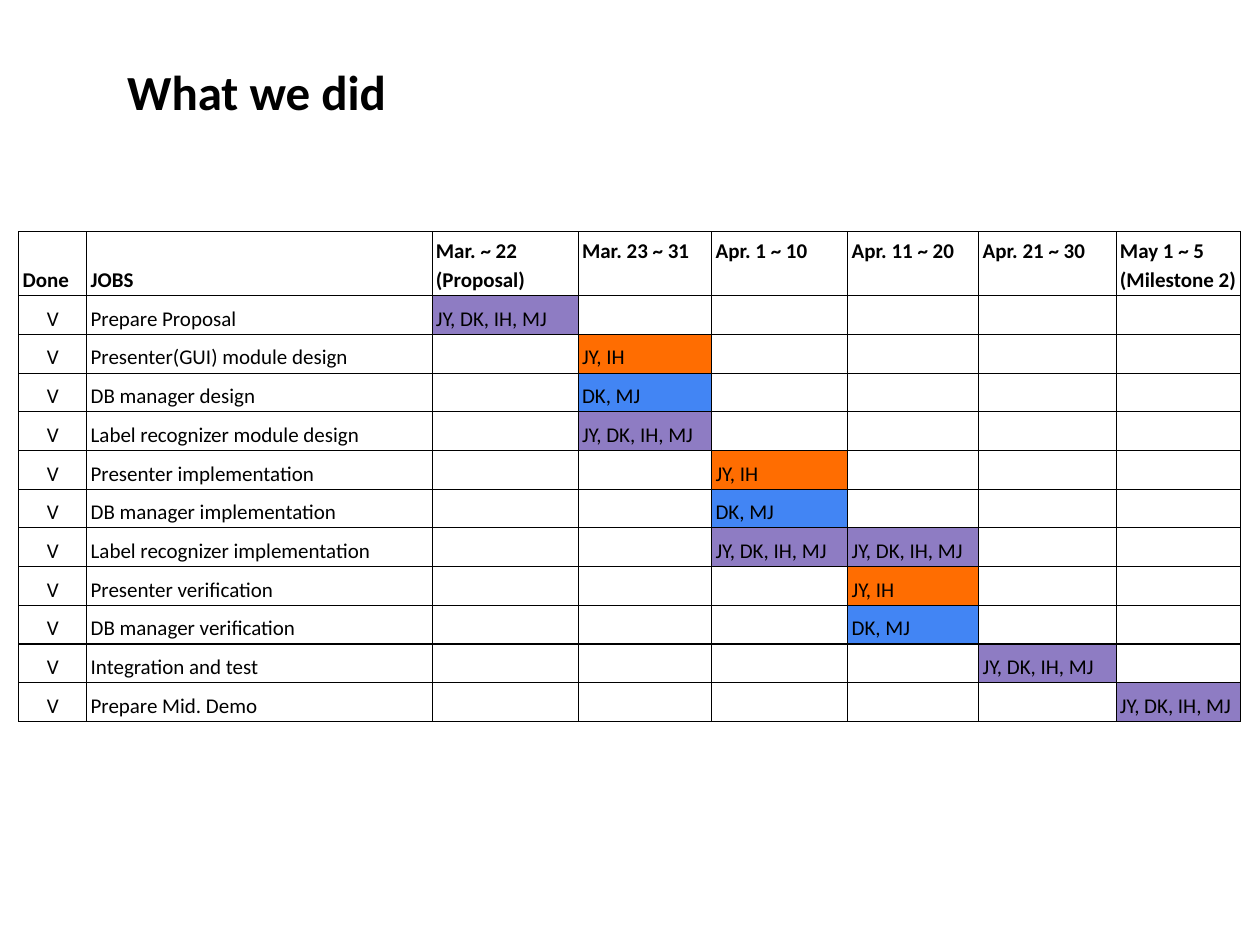
from lxml.etree import SubElement
from pptx import Presentation
from pptx.dml.color import RGBColor
from pptx.enum.text import MSO_ANCHOR, PP_ALIGN
from pptx.oxml.ns import qn
from pptx.util import Inches, Pt

BLACK = RGBColor(0x00, 0x00, 0x00)
WHITE = RGBColor(0xFF, 0xFF, 0xFF)
PURPLE = RGBColor(0x8E, 0x7C, 0xC3)
ORANGE = RGBColor(0xFF, 0x6D, 0x01)
BLUE = RGBColor(0x42, 0x85, 0xF4)

EVERYONE = "JY, DK, IH, MJ"
PRESENTER_TEAM = "JY, IH"
DATABASE_TEAM = "DK, MJ"
TEAM_COLORS = {EVERYONE: PURPLE, PRESENTER_TEAM: ORANGE, DATABASE_TEAM: BLUE}

HEADERS = [
    "Done", "JOBS", "Mar. ~ 22\n(Proposal)", "Mar. 23 ~ 31", "Apr. 1 ~ 10",
    "Apr. 11 ~ 20", "Apr. 21 ~ 30", "May 1 ~ 5\n(Milestone 2)",
]
JOBS = [
    ("Prepare Proposal", EVERYONE, [0]),
    ("Presenter(GUI) module design", PRESENTER_TEAM, [1]),
    ("DB manager design", DATABASE_TEAM, [1]),
    ("Label recognizer module design", EVERYONE, [1]),
    ("Presenter implementation", PRESENTER_TEAM, [2]),
    ("DB manager implementation", DATABASE_TEAM, [2]),
    ("Label recognizer implementation", EVERYONE, [2, 3]),
    ("Presenter verification", PRESENTER_TEAM, [3]),
    ("DB manager verification", DATABASE_TEAM, [3]),
    ("Integration and test", EVERYONE, [4]),
    ("Prepare Mid. Demo", EVERYONE, [5]),
]
COLUMN_WIDTHS = [0.54, 2.74, 1.16, 1.06, 1.08, 1.04, 1.09, 0.99]
TABLE_HEIGHT = 3.88
HEADER_HEIGHT = 0.5
PERIOD_COUNT = len(HEADERS) - 2


class SlideBuilder:
    font_name = "Calibri"
    text_color = BLACK
    border_width = Pt(0.75)

    def __init__(self, slide):
        self.slide = slide

    def format_font(self, paragraph, size, bold):
        font = paragraph.font
        font.name = self.font_name
        font.size = Pt(size)
        font.bold = bold
        font.color.rgb = self.text_color

    def title(self, text, left, top, width, height):
        shape = self.slide.shapes.title
        shape.left, shape.top = Inches(left), Inches(top)
        shape.width, shape.height = Inches(width), Inches(height)
        shape.text_frame.text = text
        shape.text_frame.vertical_anchor = MSO_ANCHOR.MIDDLE
        paragraph = shape.text_frame.paragraphs[0]
        paragraph.alignment = PP_ALIGN.LEFT
        self.format_font(paragraph, 28, True)

    def borders(self, cell):
        properties = cell._tc.get_or_add_tcPr()
        for side in ("a:lnL", "a:lnR", "a:lnT", "a:lnB"):
            line = SubElement(properties, qn(side), w=str(self.border_width))
            fill = SubElement(line, qn("a:solidFill"))
            SubElement(fill, qn("a:srgbClr"), val=str(self.text_color))

    def cell(self, cell, text, fill, bold, alignment, anchor):
        self.borders(cell)
        cell.fill.solid()
        cell.fill.fore_color.rgb = fill
        cell.margin_left = cell.margin_right = Inches(0.03)
        cell.margin_top = cell.margin_bottom = Inches(0.02 if text else 0)
        cell.vertical_anchor = anchor
        cell.text = text
        for paragraph in cell.text_frame.paragraphs:
            paragraph.alignment = alignment
            if text:
                paragraph.line_spacing = 1.15
            self.format_font(paragraph, 12, bold)

    def schedule(self, left, top):
        rows = [HEADERS]
        for job, team, periods in JOBS:
            marks = [team if period in periods else "" for period in range(PERIOD_COUNT)]
            rows.append(["V", job, *marks])
        table = self.slide.shapes.add_table(
            len(rows), len(HEADERS), Inches(left), Inches(top),
            Inches(sum(COLUMN_WIDTHS)), Inches(TABLE_HEIGHT),
        ).table
        for column, width in zip(table.columns, COLUMN_WIDTHS):
            column.width = Inches(width)
        job_height = (TABLE_HEIGHT - HEADER_HEIGHT) / len(JOBS)
        for row_index, texts in enumerate(rows):
            is_header = row_index == 0
            table.rows[row_index].height = Inches(HEADER_HEIGHT if is_header else job_height)
            for column_index, text in enumerate(texts):
                is_mark = column_index == 0 and not is_header
                is_period = column_index >= 2 and is_header
                self.cell(
                    table.cell(row_index, column_index),
                    text,
                    TEAM_COLORS.get(text, WHITE),
                    is_header,
                    PP_ALIGN.CENTER if is_mark else PP_ALIGN.LEFT,
                    MSO_ANCHOR.TOP if is_period else MSO_ANCHOR.BOTTOM,
                )


def main():
    presentation = Presentation()
    presentation.slide_width = Inches(10)
    presentation.slide_height = Inches(7.5)
    builder = SlideBuilder(presentation.slides.add_slide(presentation.slide_layouts[5]))
    builder.title("What we did", 0.91, 0.29, 8.82, 0.87)
    builder.schedule(0.15, 1.84)
    presentation.save("out.pptx")


if __name__ == "__main__":
    main()
